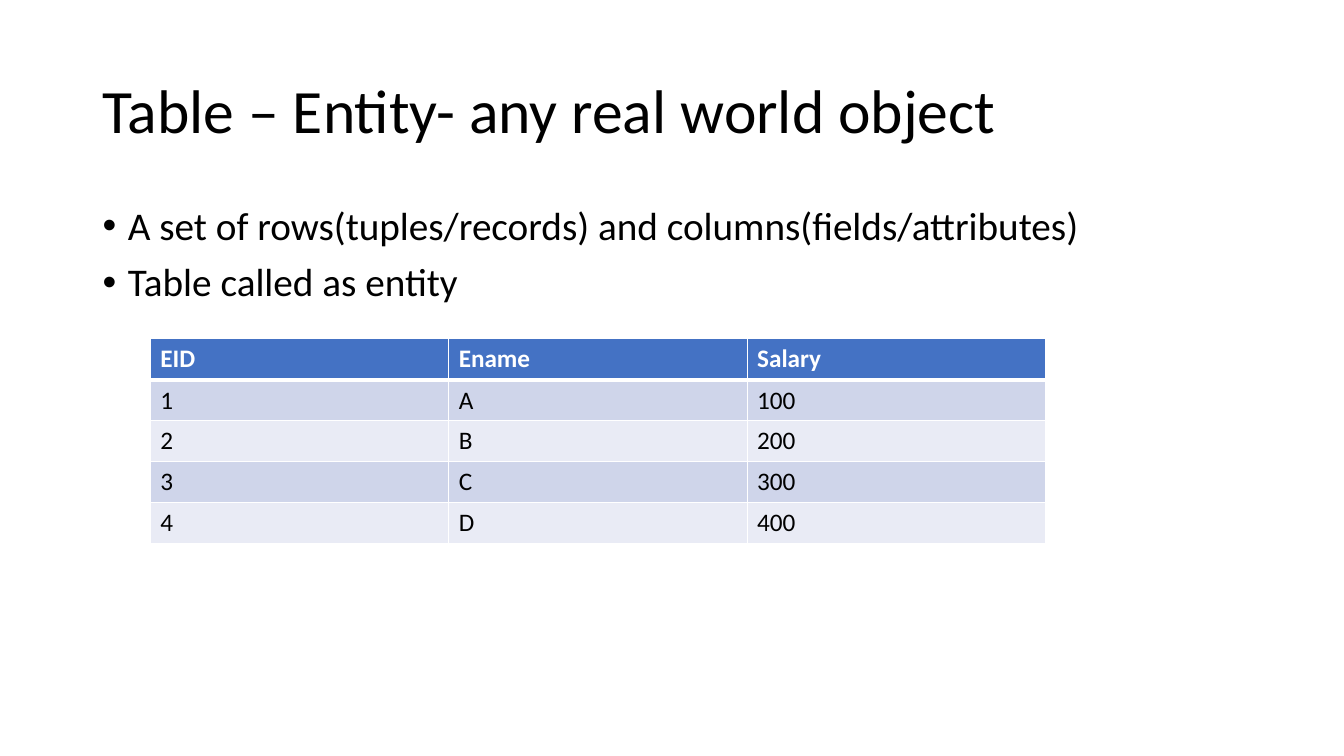
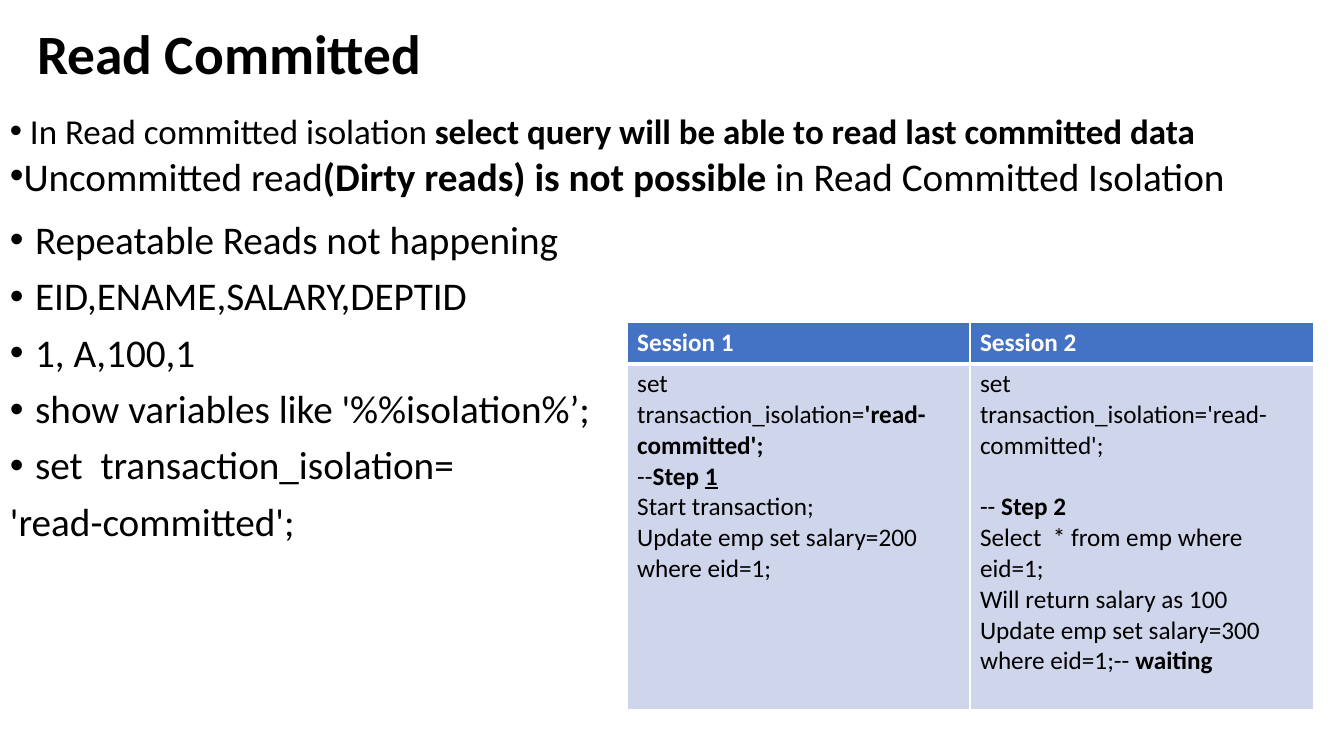
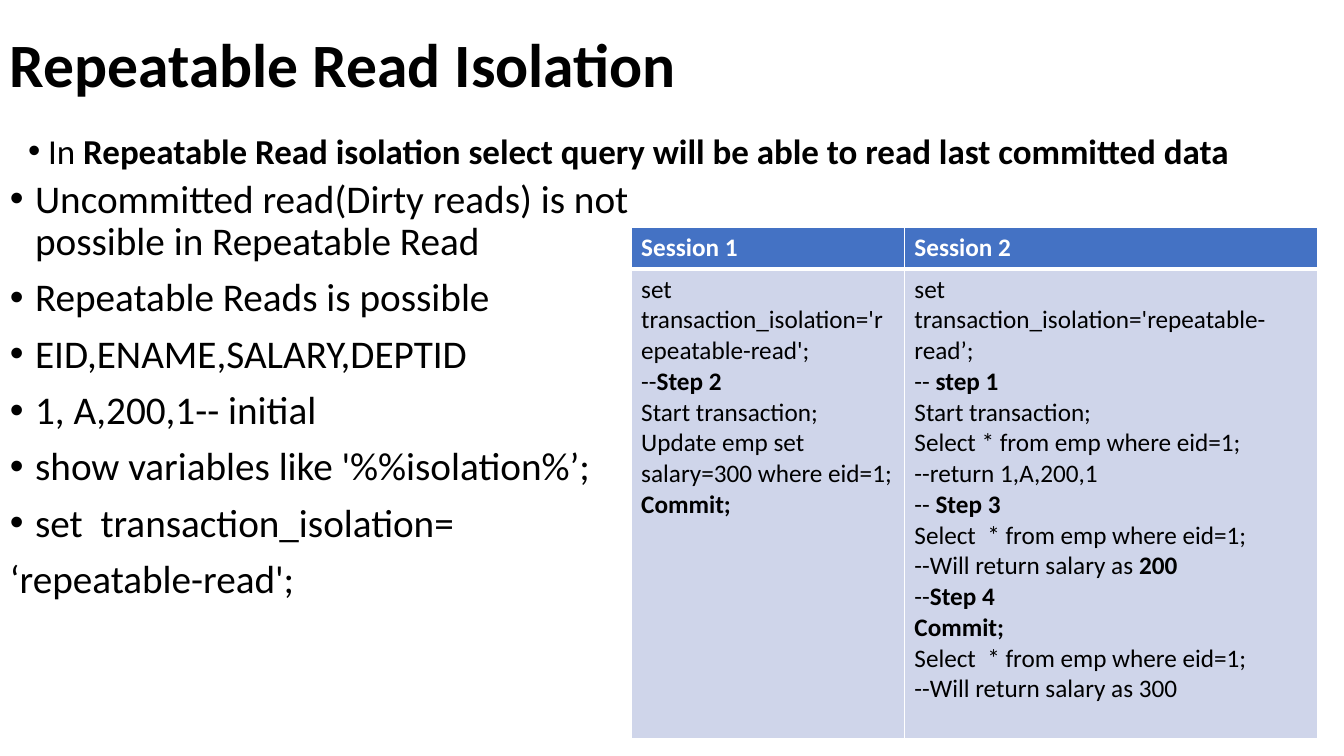
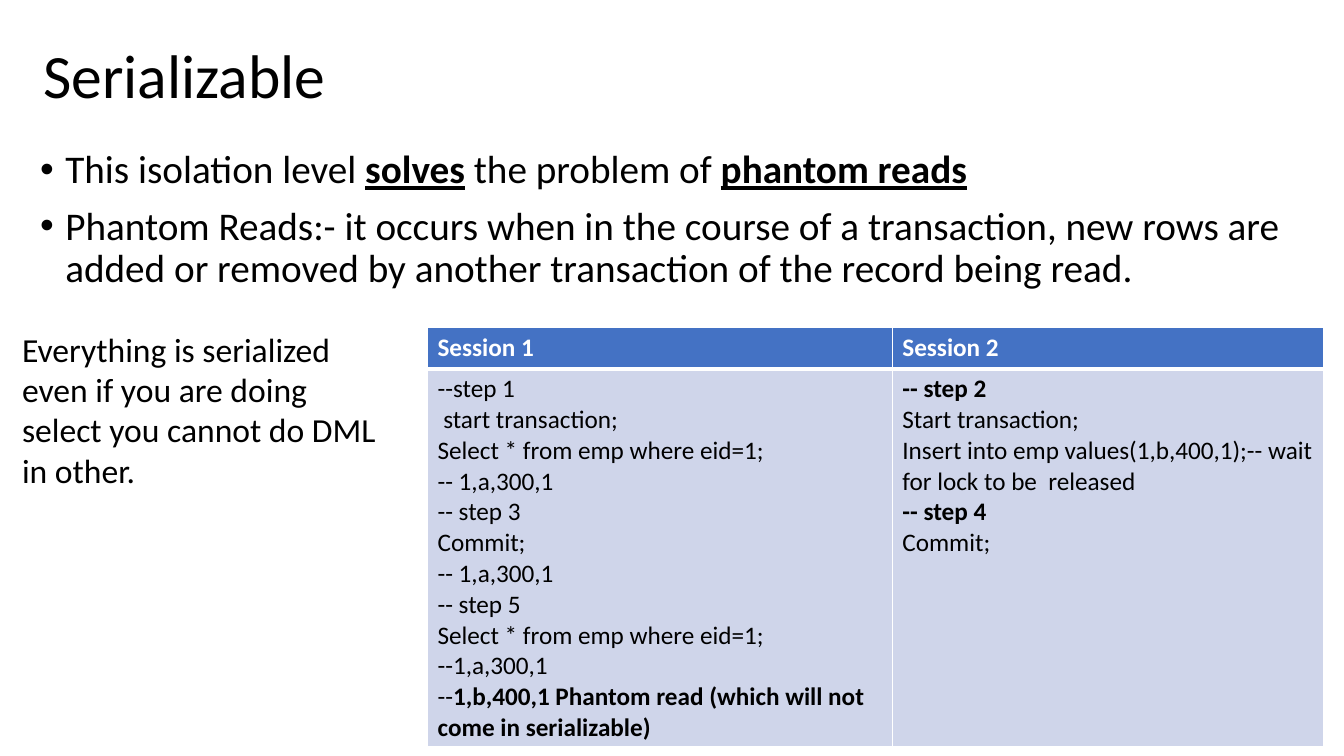
from dataclasses import dataclass
from typing import NamedTuple

from lxml.etree import SubElement
from pptx import Presentation
from pptx.dml.color import RGBColor as RGB
from pptx.enum.text import MSO_ANCHOR as Anchor
from pptx.oxml.ns import qn
from pptx.util import Inches, Pt


@dataclass(frozen=True)
class Theme:
    font: str = "Calibri"
    bullet_font: str = "Arial"
    ink: RGB = RGB(0x00, 0x00, 0x00)
    white: RGB = RGB(0xFF, 0xFF, 0xFF)
    header: RGB = RGB(0x44, 0x72, 0xC4)
    bands: tuple = (RGB(0xCF, 0xD5, 0xEA), RGB(0xE9, 0xEB, 0xF5))
    title: float = 44
    small_title: float = 39.6
    body: float = 28
    lead: float = 25
    note: float = 24
    cell: float = 18
    cell_line: float = 22
    border: float = 1
    header_border: float = 3


THEME = Theme()


class Box(NamedTuple):
    x: float
    y: float
    w: float
    h: float

    def emu(self):
        return [Inches(v) for v in self]


class Run(NamedTuple):
    text: str
    bold: bool = False
    underline: bool = False
    size: float = None


class Para(NamedTuple):
    """A paragraph whose format differs from the rest of its box."""
    parts: tuple
    format: dict


def bold(text, underline=False):
    return Run(text, True, underline)


# ---- Text ----
def format_paragraph(p, bullet=False, indent=0, line=None, before=0):
    p.space_before = Pt(before)
    if line:
        p.line_spacing = line
    pPr = p._p.get_or_add_pPr()
    pPr.set("marL", str(Inches(indent)))
    pPr.set("indent", str(-Inches(indent)))
    if bullet:
        SubElement(pPr, qn("a:buFont"), typeface=THEME.bullet_font)
        SubElement(pPr, qn("a:buChar"), char="•")
    else:
        SubElement(pPr, qn("a:buNone"))


def write(tf, paras, size, color=THEME.ink, strong=False, **layout):
    """Fill a text frame; a paragraph is a string, a tuple of runs or a Para."""
    for i, para in enumerate(paras):
        p = tf.paragraphs[0] if i == 0 else tf.add_paragraph()
        parts, own = para if isinstance(para, Para) else (para, {})
        format_paragraph(p, **{**layout, **own})
        for part in (parts,) if isinstance(parts, (str, Run)) else parts:
            run = Run(part) if isinstance(part, str) else part
            r = p.add_run()
            r.text = run.text
            r.font.name = THEME.font
            r.font.size = Pt(run.size or size)
            r.font.color.rgb = color
            r.font.bold = strong or run.bold
            r.font.underline = run.underline


def add_text(s, box, paras, size, anchor=Anchor.TOP, wrap=True, **options):
    tf = s.shapes.add_textbox(*box.emu()).text_frame
    tf.word_wrap = wrap
    tf.vertical_anchor = anchor
    write(tf, paras, size, **options)


def add_title(s, box, text, size=THEME.title, strong=False):
    add_text(s, box, [text], size, Anchor.MIDDLE, strong=strong, line=0.9)


def add_bullets(s, box, paras):
    add_text(s, box, paras, THEME.body, bullet=True, indent=0.25,
             line=0.9, before=10)


# ---- Tables ----
def set_borders(cell, bottom):
    tcPr = cell._tc.get_or_add_tcPr()
    widths = dict(lnL=THEME.border, lnR=THEME.border, lnT=THEME.border,
                  lnB=bottom)
    for i, (side, width) in enumerate(widths.items()):
        ln = tcPr.makeelement(qn(f"a:{side}"), {"w": str(Pt(width))})
        fill = SubElement(ln, qn("a:solidFill"))
        SubElement(fill, qn("a:srgbClr"), val=str(THEME.white))
        tcPr.insert(i, ln)


def add_grid(s, box, rows, col_widths, header_h=0.41):
    """Draw a header row and banded rows that share the remaining height."""
    table = s.shapes.add_table(len(rows), len(col_widths), *box.emu()).table
    for col, width in zip(table.columns, col_widths):
        col.width = Inches(width)
    row_h = (box.h - header_h) / (len(rows) - 1)
    for i, row in enumerate(rows):
        head = i == 0
        table.rows[i].height = Inches(header_h if head else row_h)
        for j, paras in enumerate(row):
            cell = table.cell(i, j)
            cell.fill.solid()
            cell.fill.fore_color.rgb = (THEME.header if head
                                        else THEME.bands[(i - 1) % 2])
            set_borders(cell, THEME.header_border if head else THEME.border)
            write(cell.text_frame,
                  [paras] if isinstance(paras, str) else paras, THEME.cell,
                  color=THEME.white if head else THEME.ink, strong=head)


def add_sessions(s, box, col_widths, first, second):
    add_grid(s, box, [("Session 1", "Session 2"), (first, second)], col_widths)


# ---- Slides ----
def entity_slide(s):
    add_title(s, Box(0.92, 0.4, 11.5, 1.45),
              "Table – Entity- any real world object")
    add_bullets(s, Box(0.92, 2, 11.5, 4.76), [
        "A set of rows(tuples/records) and columns(fields/attributes)",
        "Table called as entity",
    ])
    rows = [("EID", "Ename", "Salary")]
    rows += [(str(n), name, str(n * 100)) for n, name in enumerate("ABCD", 1)]
    box = Box(1.49, 3.36, 8.88, 2.03)
    add_grid(s, box, rows, [box.w / 3] * 3)


def read_committed_slide(s):
    add_title(s, Box(0.27, 0.21, 11.5, 0.71), "Read Committed",
              THEME.small_title, strong=True)
    add_bullets(s, Box(0, 2.14, 6.09, 4.34), [
        "Repeatable Reads not happening",
        "EID,ENAME,SALARY,DEPTID",
        "1, A,100,1",
        "show variables like '%%isolation%’;",
        "set  transaction_isolation=",
        Para("'read-committed';", dict(bullet=False)),
    ])
    add_sessions(s, Box(6.22, 3.2, 6.81, 3.84), [3.4, 3.41], [
        ("set  transaction_isolation=", bold("'read-committed';")),
        ("--", bold("Step "), bold("1", underline=True)),
        "Start transaction;",
        "Update emp set salary=200 where eid=1;",
    ], [
        "set  transaction_isolation='read-committed';",
        Para(("-- ", bold("Step 2")), dict(before=THEME.cell_line)),
        "Select  * from emp where eid=1;",
        "Will return salary as 100",
        ("Update emp set salary=300 where eid=1;-- ", bold("waiting")),
    ])
    add_text(s, Box(0, 1.04, 12.4, 0.99), [
        (" In Read committed isolation ",
         bold("select query will be able to read last committed data")),
        (Run("Uncommitted read", size=THEME.body),
         Run("(Dirty reads) is not possible ", True, size=THEME.body),
         Run("in Read Committed Isolation", size=THEME.body)),
    ], THEME.lead, wrap=False, bullet=True)


def repeatable_read_slide(s):
    add_title(s, Box(0, 0.24, 11.5, 0.87), "Repeatable Read Isolation",
              strong=True)
    add_bullets(s, Box(0, 1.73, 6.39, 5.06), [
        "Uncommitted read(Dirty reads) is not possible in Repeatable Read",
        "Repeatable Reads is possible",
        "EID,ENAME,SALARY,DEPTID",
        "1, A,200,1-- initial",
        "show variables like '%%isolation%’;",
        "set  transaction_isolation=",
        Para("‘repeatable-read';", dict(bullet=False)),
    ])
    add_sessions(s, Box(6.26, 2.26, 6.81, 5.07), [2.71, 4.1], [
        "set  transaction_isolation='repeatable-read';",
        ("--", bold("Step 2")),
        "Start transaction;",
        "Update emp set salary=300 where eid=1;",
        bold("Commit;"),
    ], [
        "set  transaction_isolation='repeatable-read’;",
        ("-- ", bold("step 1")),
        "Start transaction;",
        "Select * from emp where eid=1;",
        "--return 1,A,200,1",
        ("-- ", bold("Step 3")),
        "Select  * from emp where eid=1;",
        ("--Will return salary as ", bold("200")),
        ("--", bold("Step 4")),
        bold("Commit;"),
        "Select  * from emp where eid=1;",
        "--Will return salary as 300",
    ])
    add_text(s, Box(0.18, 1.24, 13.15, 0.52), [
        (" In ", bold("Repeatable Read isolation select query will be able "
                      "to read last committed data")),
    ], THEME.lead, bullet=True)


def serializable_slide(s):
    add_title(s, Box(0.33, 0.37, 11.5, 0.82), "Serializable")
    add_bullets(s, Box(0.3, 1.44, 13.03, 1.6), [
        ("This isolation level ", bold("solves", underline=True),
         " the problem of ", bold("phantom reads", underline=True)),
        "Phantom Reads:- it occurs when in the course of a transaction, new "
        "rows are added or removed by another transaction of the record "
        "being read.",
    ])
    add_sessions(s, Box(4.24, 3.25, 8.89, 4.16), [4.61, 4.28], [
        "--step 1",
        " start transaction;",
        "Select * from emp where eid=1;",
        "-- 1,a,300,1",
        "-- step 3",
        "Commit;",
        "-- 1,a,300,1",
        "-- step 5",
        "Select * from emp where eid=1;",
        "--1,a,300,1",
        ("--", bold("1,b,400,1 Phantom read (which will not come in "
                    "serializable)")),
    ], [
        bold("-- step 2"),
        "Start transaction;",
        "Insert into emp values(1,b,400,1);-- wait for lock to be  released",
        bold("-- step 4"),
        "Commit;",
    ])
    add_text(s, Box(0.12, 3.21, 3.79, 2.02), [
        "Everything is serialized even if you are doing select you cannot "
        "do DML in other.",
    ], THEME.note)


def main():
    prs = Presentation()
    prs.slide_width, prs.slide_height = Inches(13.33), Inches(7.5)
    blank = prs.slide_layouts[6]
    for build in (entity_slide, read_committed_slide, repeatable_read_slide,
                  serializable_slide):
        build(prs.slides.add_slide(blank))
    prs.save("out.pptx")


if __name__ == "__main__":
    main()
